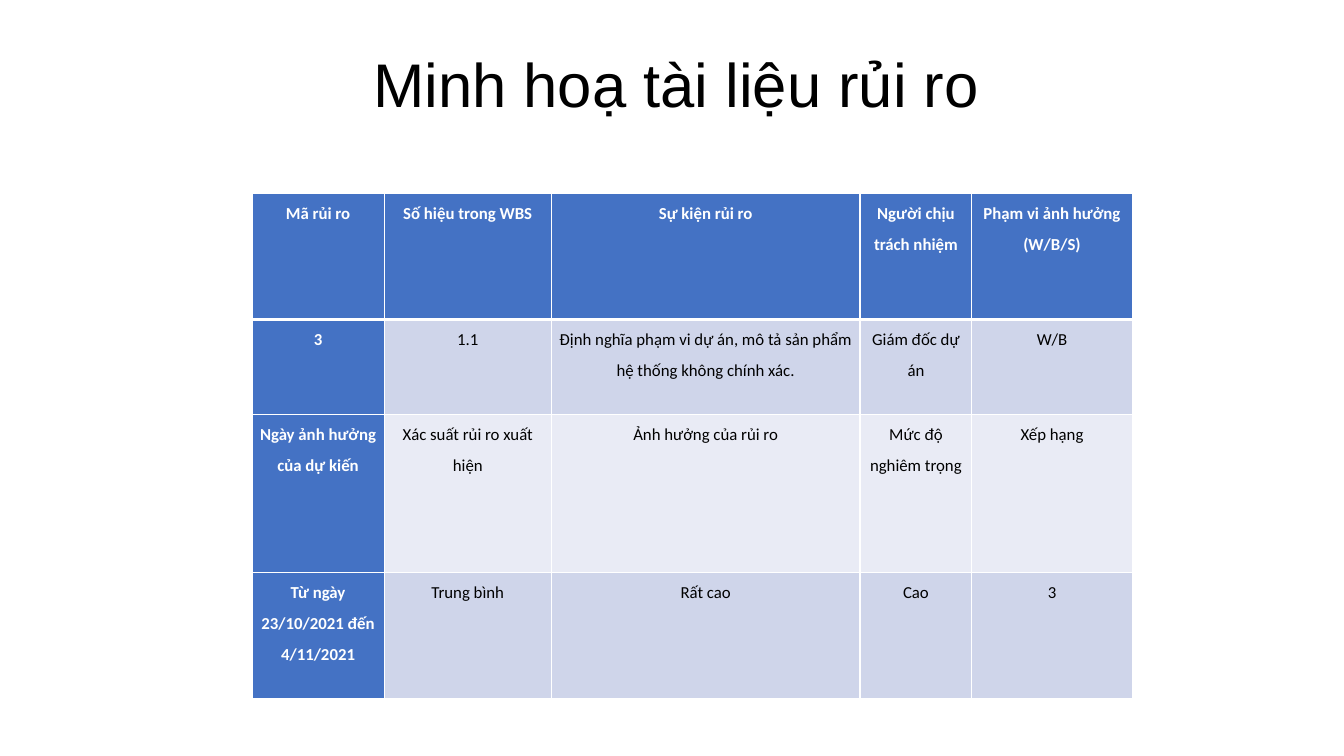
from lxml import etree
from pptx import Presentation
from pptx import util as u
from pptx.dml.color import RGBColor
from pptx.enum import text
from pptx.oxml.ns import qn

TITLE = "Minh hoạ tài liệu rủi ro"
RISK_ROWS = [
    ["Mã rủi ro", "Số hiệu trong WBS", "Sự kiện rủi ro", "Người chịu trách nhiệm",
     "Phạm vi ảnh hưởng\n(W/B/S)"],
    ["3", "1.1", "Định nghĩa phạm vi dự án, mô tả sản phẩm hệ thống không chính xác.",
     "Giám đốc dự án", "W/B"],
    ["Ngày ảnh hưởng của dự kiến", "Xác suất rủi ro xuất hiện", "Ảnh hưởng của rủi ro",
     "Mức độ nghiêm trọng", "Xếp hạng"],
    ["Từ ngày 23/10/2021 đến 4/11/2021", "Trung bình", "Rất cao", "Cao", "3"],
]
COLUMN_WIDTHS = [1.31, 1.66, 3.06, 1.11, 1.59]
ROW_HEIGHTS = [1.25, 0.94, 1.57, 1.25]
TABLE_LEFT, TABLE_TOP = 2.5, 1.92
TITLE_BOX = (3.6, 0.14, 6.4, 1.45)

BLACK = RGBColor(0x00, 0x00, 0x00)
WHITE = RGBColor(0xFF, 0xFF, 0xFF)
BLUE = RGBColor(0x44, 0x72, 0xC4)
BANDS = [RGBColor(0xE9, 0xEB, 0xF5), RGBColor(0xCF, 0xD5, 0xEA)]


def add_run(paragraph, words, font_name, size, color, bold=False):
    run = paragraph.add_run()
    run.text = words
    run.font.name = font_name
    run.font.size = u.Pt(size)
    run.font.color.rgb = color
    run.font.bold = bold


def set_borders(cell, widths):
    properties = cell._tc.get_or_add_tcPr()
    for position, (side, width) in enumerate(widths.items()):
        line = etree.Element(qn(f"a:ln{side}"), w=str(u.Pt(width)))
        fill = etree.SubElement(line, qn("a:solidFill"))
        etree.SubElement(fill, qn("a:srgbClr"), val=str(WHITE))
        properties.insert(position, line)


def fill_cell(cell, words, row, column):
    heading = row == 0 or column == 0
    cell.fill.solid()
    cell.fill.fore_color.rgb = BLUE if heading else BANDS[row % 2]
    cell.margin_left = cell.margin_right = u.Inches(0.06)
    cell.margin_top = cell.margin_bottom = 0
    set_borders(cell, {"L": 1, "R": 1, "T": 3 if row == 1 else 1, "B": 3 if row == 0 else 1})
    frame = cell.text_frame
    for index, line in enumerate(words.split("\n")):
        paragraph = frame.add_paragraph() if index else frame.paragraphs[0]
        paragraph.alignment = text.PP_ALIGN.CENTER
        paragraph.line_spacing = 1.5
        add_run(paragraph, line, "Calibri", 12, WHITE if heading else BLACK, heading)


def add_title(slide):
    title = slide.shapes.title
    title.left, title.top, title.width, title.height = map(u.Inches, TITLE_BOX)
    frame = title.text_frame
    frame.word_wrap = True
    frame.auto_size = text.MSO_AUTO_SIZE.NONE
    frame.vertical_anchor = text.MSO_ANCHOR.MIDDLE
    paragraph = frame.paragraphs[0]
    paragraph.alignment = text.PP_ALIGN.LEFT
    paragraph.line_spacing = 0.9
    add_run(paragraph, TITLE, "Arial", 44, BLACK)


def add_risk_table(slide):
    box = (TABLE_LEFT, TABLE_TOP, sum(COLUMN_WIDTHS), sum(ROW_HEIGHTS))
    table = slide.shapes.add_table(
        len(ROW_HEIGHTS), len(COLUMN_WIDTHS), *map(u.Inches, box)).table
    table.first_col = True
    for column, width in zip(table.columns, COLUMN_WIDTHS):
        column.width = u.Inches(width)
    for row, height in zip(table.rows, ROW_HEIGHTS):
        row.height = u.Inches(height)
    for row, entries in enumerate(RISK_ROWS):
        for column, words in enumerate(entries):
            fill_cell(table.cell(row, column), words, row, column)


def main():
    presentation = Presentation()
    presentation.slide_width = u.Inches(13.33)
    presentation.slide_height = u.Inches(7.5)
    slide = presentation.slides.add_slide(presentation.slide_layouts[5])
    add_title(slide)
    add_risk_table(slide)
    presentation.save("out.pptx")


if __name__ == "__main__":
    main()
